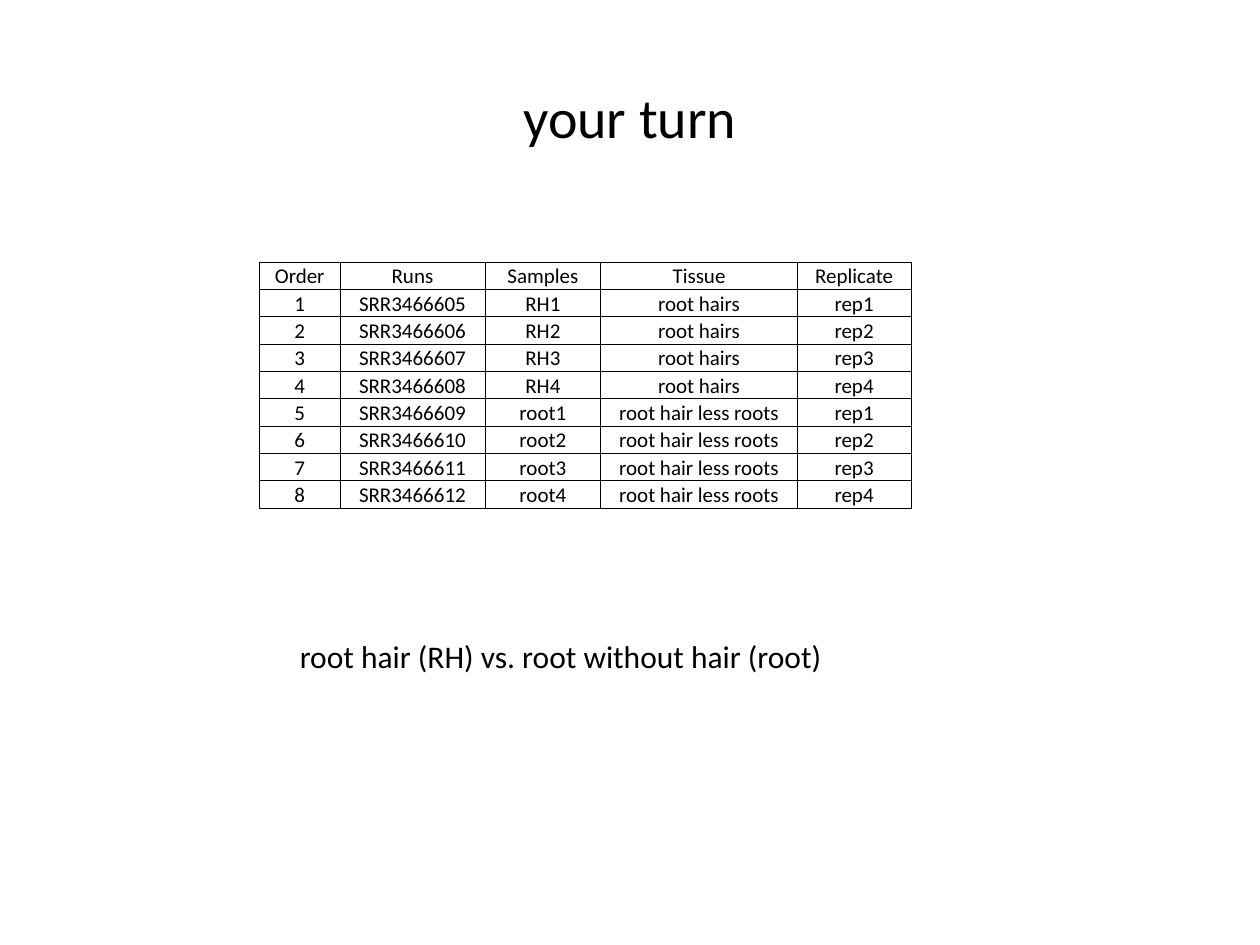
"""Build the "your turn" slide with its table of sequencing runs."""
from dataclasses import dataclass
from typing import Any

from lxml.etree import SubElement as Sub
from pptx import Presentation
from pptx.dml.color import RGBColor as Rgb
from pptx.enum.text import MSO_ANCHOR as Anchor, PP_ALIGN as Align
from pptx.oxml.ns import qn
from pptx.util import Pt

INK = {"text": "000000", "rule": "000000"}
HEAD = ("Order", "Runs", "Samples", "Tissue", "Replicate")
WIDTHS = (46, 82.8, 66.3, 112.2, 65)
ROW = 15.62
INSET = {
    "margin_left": Pt(0.72),
    "margin_right": Pt(0.72),
    "margin_top": Pt(0.72),
    "margin_bottom": Pt(0),
    "vertical_anchor": Anchor.BOTTOM,
}


@dataclass
class Label:
    """A line of text with its place and format."""

    text: str
    left: float
    top: float
    width: float
    height: float
    size: float
    align: Any
    anchor: Any
    wrap: bool


@dataclass
class Group:
    """A set of runs from one tissue."""

    code: str
    tissue: str


LABELS = (
    Label("your turn", 36, 21.6, 648, 90, 32, Align.CENTER, Anchor.MIDDLE, True),
    Label("root hair (RH) vs. root without hair (root)", 164.2, 360.7, 320.4, 28.8,
          18, Align.LEFT, Anchor.TOP, False),
)
GROUPS = (Group("RH", "root hairs"), Group("root", "root hair less roots"))


def apply(item: Any, values: dict) -> None:
    """Set each named attribute on an object."""
    for name, value in values.items():
        setattr(item, name, value)


def write(frame: Any, text: str, size: float, align: Any) -> None:
    """Put one formatted line in a text frame."""
    line = frame.paragraphs[0]
    line.alignment = align
    run = line.add_run()
    run.text = text
    apply(run.font, {"name": "Calibri", "size": Pt(size), "bold": False})
    run.font.color.rgb = Rgb.from_string(INK["text"])


def draw_label(slide: Any, label: Label) -> None:
    """Draw a label as a text box."""
    place = (label.left, label.top, label.width, label.height)
    frame = slide.shapes.add_textbox(*map(Pt, place)).text_frame
    apply(frame, {"word_wrap": label.wrap, "vertical_anchor": label.anchor})
    write(frame, label.text, label.size, label.align)


def rule(cell: Any) -> None:
    """Draw a thin line on every side of a cell."""
    props = cell._tc.get_or_add_tcPr()
    for side in ("lnL", "lnR", "lnT", "lnB"):
        line = Sub(props, qn(f"a:{side}"), w=str(Pt(0.5)))
        fill = Sub(line, qn("a:solidFill"))
        Sub(fill, qn("a:srgbClr"), val=INK["rule"])


def list_rows() -> list[tuple]:
    """List the heading and the four replicates of each group."""
    rows = [HEAD]
    for group in GROUPS:
        for rep in range(1, 5):
            order = len(rows)
            rows.append((str(order), f"SRR{3466604 + order}", f"{group.code}{rep}",
                         group.tissue, f"rep{rep}"))
    return rows


def draw_table(slide: Any, rows: list[tuple]) -> None:
    """Draw the table of runs."""
    size = (sum(WIDTHS), ROW * len(rows))
    table = slide.shapes.add_table(
        len(rows), len(HEAD), Pt(148.3), Pt(149.8), *map(Pt, size)).table
    apply(table, {"first_row": False, "horz_banding": False})
    for col, width in zip(table.columns, WIDTHS):
        col.width = Pt(width)
    for line, texts in zip(table.rows, rows):
        line.height = Pt(ROW)
        for cell, text in zip(line.cells, texts):
            apply(cell, INSET)
            rule(cell)
            cell.fill.background()
            write(cell.text_frame, text, 12, Align.CENTER)


def main() -> None:
    """Build and save the slide."""
    deck = Presentation()
    apply(deck, {"slide_width": Pt(720), "slide_height": Pt(540)})
    slide = deck.slides.add_slide(deck.slide_layouts[6])
    draw_table(slide, list_rows())
    for label in LABELS:
        draw_label(slide, label)
    deck.save("out.pptx")


if __name__ == "__main__":
    main()
